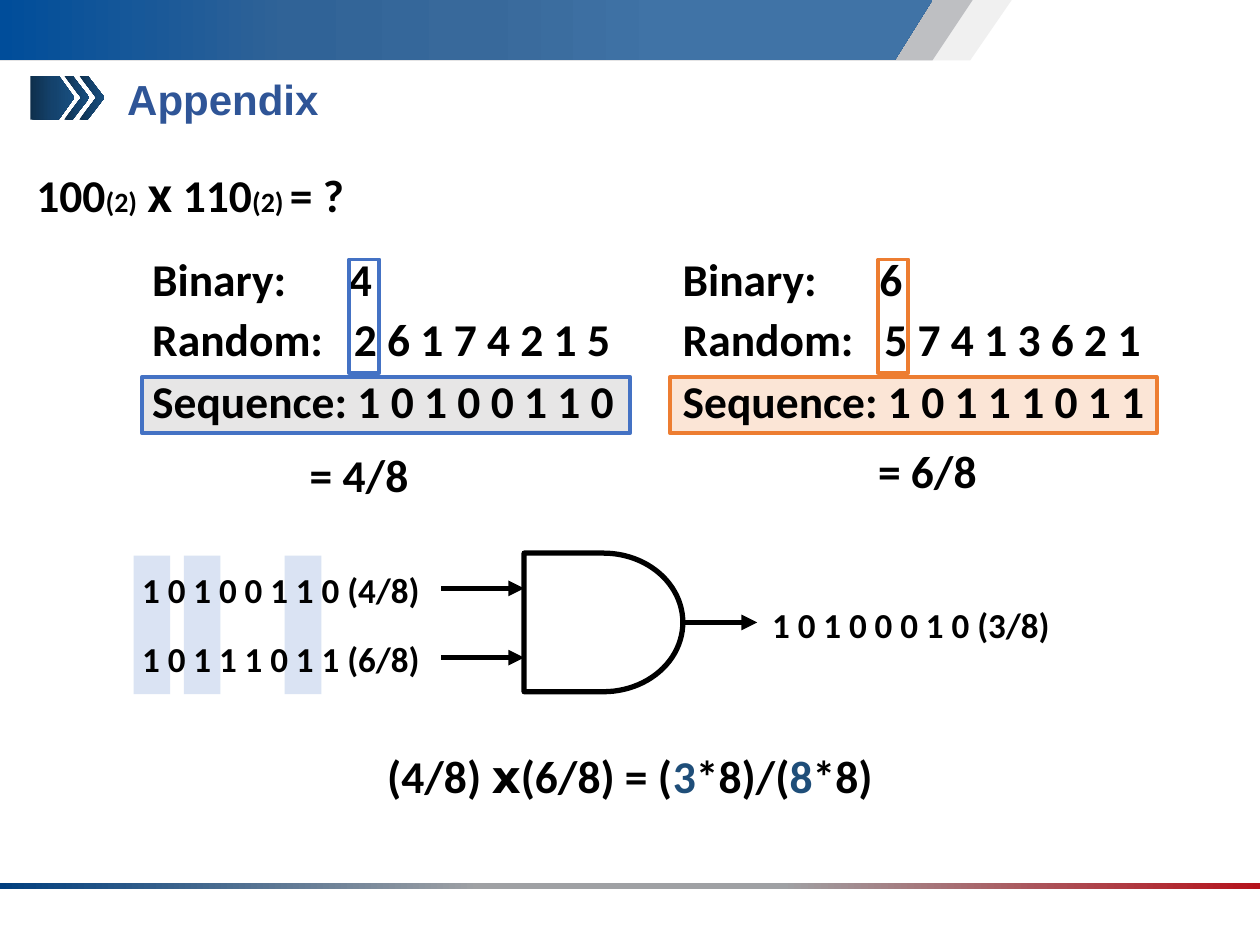
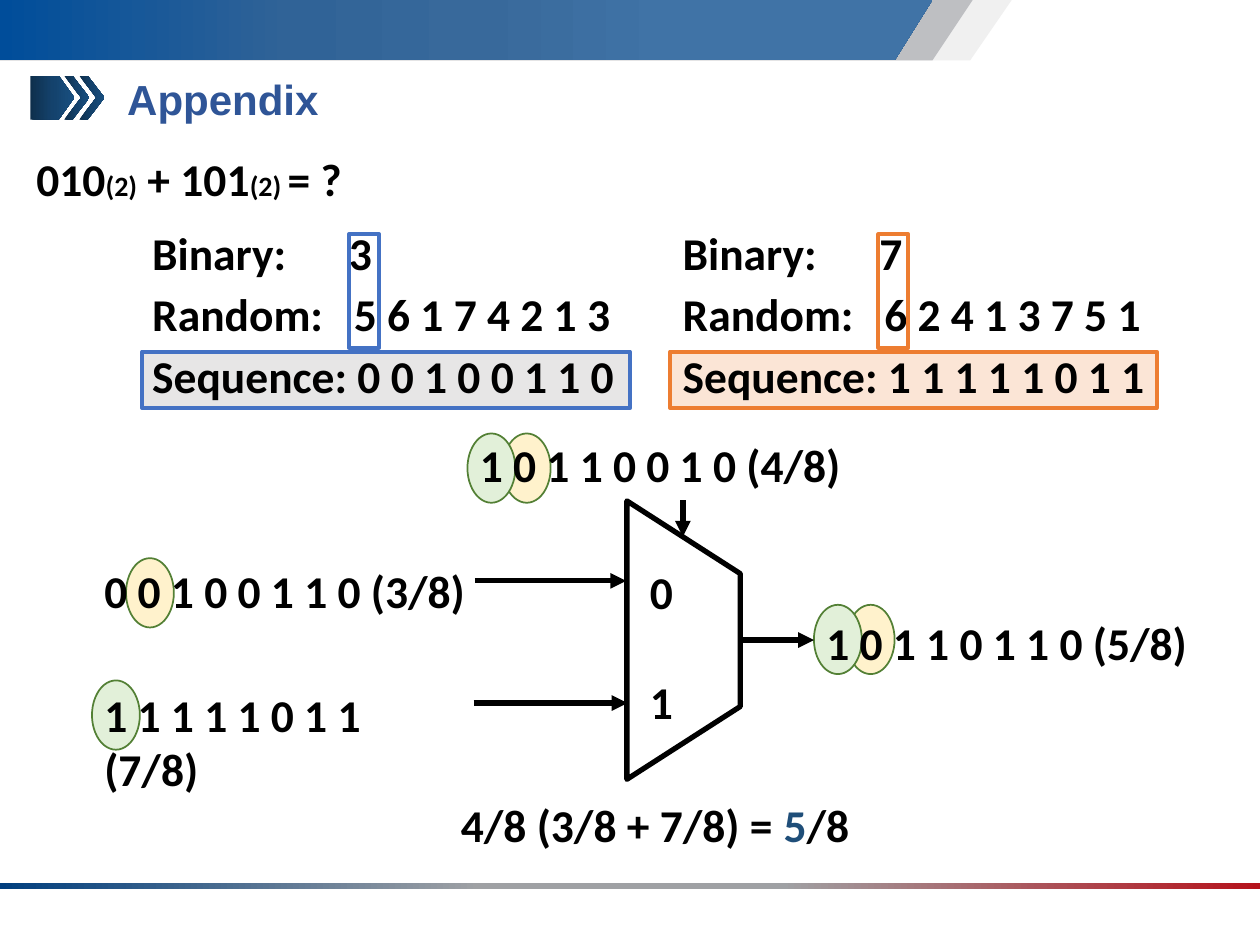
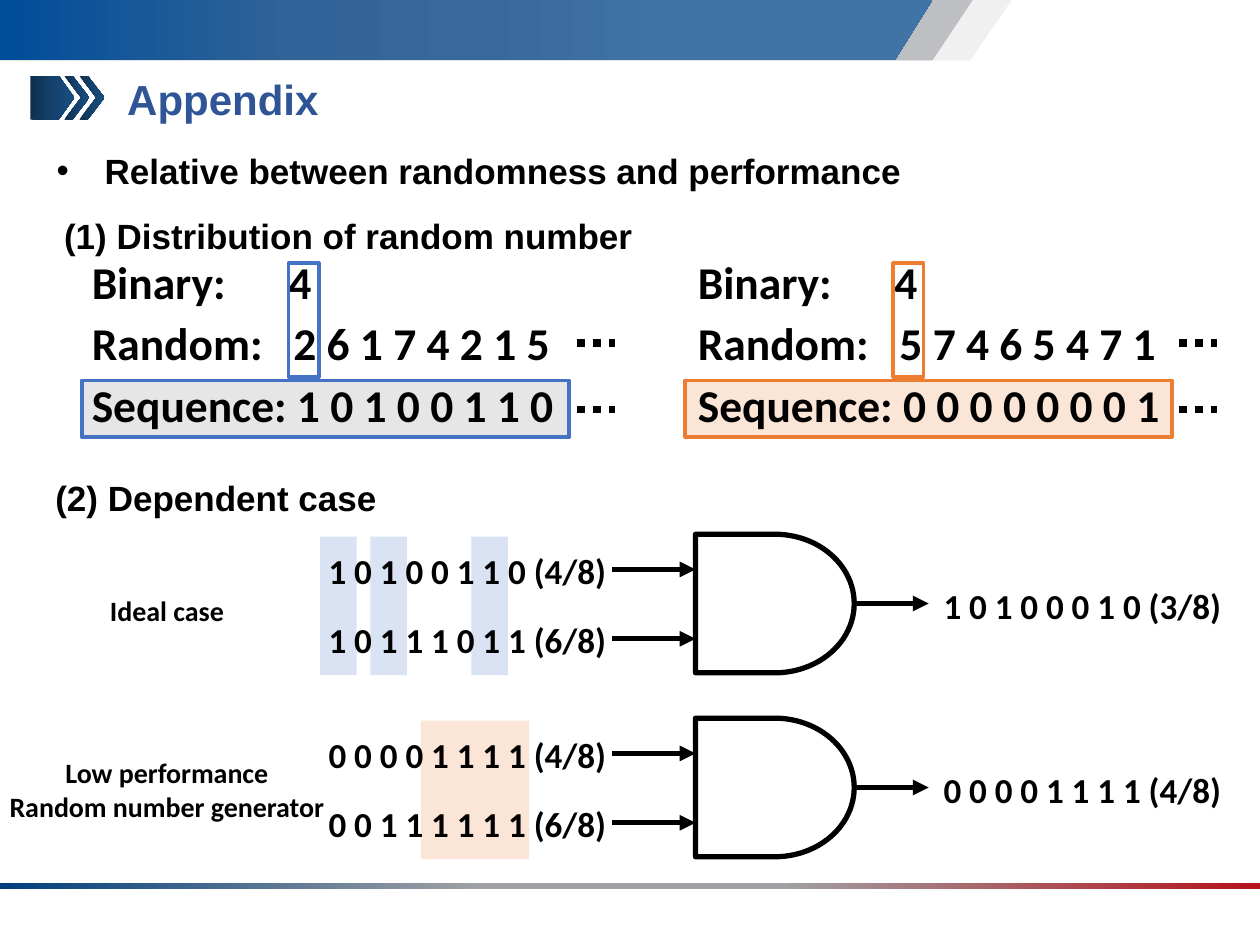
"""Build three appendix slides on stochastic computing with logic gates."""
from lxml import etree
from pptx import Presentation
from pptx.dml.color import RGBColor
from pptx.enum.dml import MSO_LINE
from pptx.enum.shapes import MSO_CONNECTOR, MSO_SHAPE
from pptx.enum.text import MSO_ANCHOR, MSO_AUTO_SIZE, PP_ALIGN
from pptx.oxml.ns import qn
from pptx.util import Inches, Pt

BLACK, WHITE, NAVY, TITLE_BLUE = "000000", "FFFFFF", "1F4E79", "2F5597"
BLUE, ORANGE, GREY, PEACH, PALE_BLUE = "4472C4", "ED7D31", "E7E6E6", "FBE5D6", "DAE3F3"
YELLOW, GREEN, DARK_GREEN = "FFF2CC", "E2F0D9", "538035"
CJK = "Noto Sans CJK KR"
BAND_HEIGHT = 0.48
BANDS = [
    (8.03, 7.7, "F0F0F0"),
    (7.72, 7.4, "BEBFC2"),
    (7.4, 7.1, [(0, "004D9A"), (31, "306397"), (51, "38699B"), (72, "4073A6")]),
]
FOOTER = [(0, "003E7E"), (38, "9FA1A4"), (62, "9FA1A4"), (100, "B5121B")]
MARKER = [(0, "0E2F4C"), (50, "14426C"), (100, "184F80")]
MARKER_PARTS = [
    (MSO_SHAPE.PENTAGON, 0.24, 0.35, 0.356),
    (MSO_SHAPE.CHEVRON, 0.51, 0.2, 0.671),
    (MSO_SHAPE.CHEVRON, 0.63, 0.2, 0.671),
]
SIDE_STYLES = [(GREY, BLUE, 0.02, 3.87, 1.66), (PEACH, ORANGE, 0, 3.86, 1.65)]

PRODUCT_INPUTS = [
    ("4", "2 6 1 7 4 2 1 5", "1 0 1 0 0 1 1 0"),
    ("6", "5 7 4 1 3 6 2 1", "1 0 1 1 1 0 1 1"),
]
SUM_INPUTS = [
    ("3", "5 6 1 7 4 2 1 3", "0 0 1 0 0 1 1 0"),
    ("7", "6 2 4 1 3 7 5 1", "1 1 1 1 1 0 1 1"),
]
DISTRIBUTIONS = [
    ("4", "2 6 1 7 4 2 1 5", "1 0 1 0 0 1 1 0"),
    ("4", "5 7 4 6 5 4 7 1", "0 0 0 0 0 0 0 1"),
]
IDEAL = ("1 0 1 0 0 1 1 0 (4/8)", "1 0 1 1 1 0 1 1 (6/8)", "1 0 1 0 0 0 1 0 (3/8)")
CORRELATED = ("0 0 0 0 1 1 1 1 (4/8)", "0 0 1 1 1 1 1 1 (6/8)", "0 0 0 0 1 1 1 1 (4/8)")
IDEAL_MARKS = [(0, 0.29, PALE_BLUE), (2, 0.29, PALE_BLUE), (6, 0.29, PALE_BLUE)]
CORRELATED_MARKS = [(4, 0.86, PEACH)]

PRODUCT_QUESTION = ["100", ("(2)", {"size": 16}), ("\u2179", {"font": CJK}), "110",
                    ("(2) ", {"size": 16}), "= ?"]
PRODUCT_RESULT = ["(4/8) \u2179(6/8) = (", ("3", {"color": NAVY}), "*8)/(",
                  ("8", {"color": NAVY}), "*8)"]
SUM_QUESTION = ["010", ("(2)", {"size": 16}), " + 101", ("(2) ", {"size": 16}), "= ?"]
SUM_RESULT = ["4/8 (3/8 + 7/8) = ", ("5", {"color": NAVY}), "/8"]
MUX_TEXTS = [
    ("1 1 1 1 1 0 1 1 (7/8)", (0.73, 5.4, 3.04, 0.54)),
    ("0 0 1 0 0 1 1 0 (3/8)", (0.73, 4.42, 3.99, 0.54)),
    ("1 0 1 1 0 0 1 0 (4/8)", (3.71, 3.42, 3.68, 0.54)),
    ("1 0 1 1 0 1 1 0 (5/8)", (6.46, 4.83, 3.64, 0.54)),
]
MUX_ARROWS = [
    ((5.42, 3.97), (5.42, 4.26)),
    ((5.87, 5.08), (6.46, 5.08)),
    ((3.77, 4.61), (4.97, 4.61)),
    ((3.76, 5.58), (4.98, 5.58)),
]
SELECTED_BITS = [
    (YELLOW, [(1, 4.43), (6.72, 4.8), (3.99, 3.44)]),
    (GREEN, [(0.73, 5.4), (6.46, 4.8), (3.71, 3.44)]),
]
HEADINGS = [
    ("(1) Distribution of random number", (0.41, 1.59, 5.18, 0.47)),
    ("(2) Dependent case", (0.34, 3.67, 4.39, 0.47)),
]


def rgb(value):
    return RGBColor.from_string(value)


def paint(shape, fill=None, line=None, width=1):
    shape.shadow.inherit = False
    if isinstance(fill, list):
        shape.fill.gradient()
        shape.fill.gradient_angle = 0
        stops = shape._element.spPr.find(".//" + qn("a:gsLst"))
        for stop in list(stops):
            stops.remove(stop)
        for position, color in fill:
            stop = etree.SubElement(stops, qn("a:gs"), pos=str(position * 1000))
            etree.SubElement(stop, qn("a:srgbClr"), val=color)
    elif fill:
        shape.fill.solid()
        shape.fill.fore_color.rgb = rgb(fill)
    else:
        shape.fill.background()
    if line:
        shape.line.color.rgb = rgb(line)
        shape.line.width = Pt(width)
    else:
        shape.line.fill.background()


def add_box(slide, kind, at, fill=None, line=None, width=1, adjust=None):
    shape = slide.shapes.add_shape(kind, *map(Inches, at))
    if adjust is not None:
        shape.adjustments[0] = adjust
    paint(shape, fill, line, width)
    return shape


def add_line(slide, start, end, width=3, arrow=True):
    line = slide.shapes.add_connector(MSO_CONNECTOR.STRAIGHT, *map(Inches, start + end))
    line.line.color.rgb = rgb(BLACK)
    line.line.width = Pt(width)
    if arrow:
        etree.SubElement(line.line._get_or_add_ln(), qn("a:tailEnd"), type="triangle")
    else:
        line.line.dash_style = MSO_LINE.ROUND_DOT
    etree.SubElement(line._element.spPr, qn("a:effectLst"))


def add_runs(paragraph, runs, size=26, font="Calibri", color=BLACK):
    for item in [runs] if isinstance(runs, str) else runs:
        words, change = (item, {}) if isinstance(item, str) else item
        style = {"size": size, "font": font, "color": color, **change}
        run = paragraph.add_run()
        run.text = words
        run.font.size = Pt(style["size"])
        run.font.name = style["font"]
        run.font.bold = True
        run.font.color.rgb = rgb(style["color"])
        if style["font"] == CJK:
            etree.SubElement(run._r.get_or_add_rPr(), qn("a:ea"), typeface=CJK)


def add_text(slide, at, paragraphs, align=PP_ALIGN.LEFT, spacing=None, gap=0, tab=None, **style):
    frame = slide.shapes.add_textbox(*map(Inches, at)).text_frame
    frame.word_wrap = True
    for index, runs in enumerate(paragraphs):
        paragraph = frame.add_paragraph() if index else frame.paragraphs[0]
        paragraph.alignment = align
        if spacing:
            paragraph.line_spacing = spacing
        if index and gap:
            paragraph.space_before = Pt(gap)
        if tab:
            tabs = etree.SubElement(paragraph._p.get_or_add_pPr(), qn("a:tabLst"))
            etree.SubElement(tabs, qn("a:tab"), pos=str(Inches(tab)), algn="l")
        add_runs(paragraph, runs, **style)


def fill_placeholder(shape, at, words, spacing, anchor, **style):
    shape.left, shape.top, shape.width, shape.height = map(Inches, at)
    frame = shape.text_frame
    frame.auto_size = MSO_AUTO_SIZE.NONE
    frame.vertical_anchor = anchor
    paragraph = frame.paragraphs[0]
    paragraph.alignment = PP_ALIGN.LEFT
    paragraph.line_spacing = spacing
    paragraph.space_before = Pt(0)
    add_runs(paragraph, words, font="Arial", **style)
    return paragraph


def add_appendix_slide(deck, layout):
    slide = deck.slides.add_slide(deck.slide_layouts[layout])
    for top, bottom, fill in BANDS:
        builder = slide.shapes.build_freeform(Inches(top), 0)
        corners = [(0, 0), (0, BAND_HEIGHT), (bottom, BAND_HEIGHT)]
        builder.add_line_segments([(Inches(x), Inches(y)) for x, y in corners])
        paint(builder.convert_to_shape(), fill)
    add_box(slide, MSO_SHAPE.RECTANGLE, (0, 7.01, 10, 0.05), FOOTER)
    for kind, x, width, adjust in MARKER_PARTS:
        add_box(slide, kind, (x, 0.6, width, 0.35), MARKER, adjust=adjust)
    fill_placeholder(slide.shapes.title, (0.91, 0.56, 8.55, 0.5), "Appendix", 0.9,
                     MSO_ANCHOR.MIDDLE, size=24, color=TITLE_BLUE)
    return slide


def add_sequences(slide, lefts, y, inputs):
    for x, values, style in zip(lefts, inputs, SIDE_STYLES):
        binary, random, sequence = values
        fill, line, inset, width, window = style
        add_box(slide, MSO_SHAPE.RECTANGLE, (x + inset, y + 1.05, width, 0.45), fill, line, 2.25)
        add_text(slide, (x, y, 2.29, 0.54), ["Binary:\t" + binary], tab=1.56)
        add_text(slide, (x, y + 0.48, 4.09, 0.54), ["Random:\t" + random], tab=1.6)
        add_text(slide, (x, y + 0.97, 4.09, 0.54), ["Sequence: " + sequence])
        add_box(slide, MSO_SHAPE.RECTANGLE, (x + window, y + 0.12, 0.24, 0.9), None, line, 2.25)


def add_and_gate(slide, x, y, text_x, streams, marks):
    for digit, width, color in marks:
        at = (text_x + 0.03 + 0.2 * digit, y + 0.02, width, 1.1)
        add_box(slide, MSO_SHAPE.RECTANGLE, at, color)
    add_box(slide, MSO_SHAPE.FLOWCHART_DELAY, (x, y, 1.26, 1.1), WHITE, BLACK, 3)
    for stream, drop in zip(streams, (0.28, 0.83)):
        add_text(slide, (text_x, y + drop - 0.21, 2.94, 0.77), [stream], size=20)
        add_line(slide, (x - 0.66, y + drop), (x, y + drop))
    add_line(slide, (x + 1.26, y + 0.55), (x + 1.85, y + 0.55))
    add_text(slide, (x + 1.87, y + 0.35, 2.46, 0.44), streams[2:], size=20)


def build_product(deck):
    slide = add_appendix_slide(deck, 5)
    add_and_gate(slide, 4.16, 4.39, 1.03, IDEAL, IDEAL_MARKS)
    add_text(slide, (0.19, 1.28, 2.75, 0.54), [PRODUCT_QUESTION])
    add_sequences(slide, (1.11, 5.32), 1.94, PRODUCT_INPUTS)
    add_text(slide, (2.36, 3.5, 1.48, 0.54), ["= 4/8"])
    add_text(slide, (6.87, 3.47, 1.48, 0.54), ["= 6/8"])
    add_text(slide, (2.61, 5.89, 4.78, 0.54), [PRODUCT_RESULT], PP_ALIGN.CENTER)


def build_sum(deck):
    slide = add_appendix_slide(deck, 5)
    for color, places in SELECTED_BITS:
        for x, y in places:
            add_box(slide, MSO_SHAPE.OVAL, (x, y, 0.38, 0.55), color, DARK_GREEN)
    mux = add_box(slide, MSO_SHAPE.TRAPEZOID, (4.32, 4.63, 2.21, 0.9), WHITE, BLACK, 3, 0.642)
    mux.rotation = 90
    for words, at in MUX_TEXTS:
        add_text(slide, at, [words])
    add_text(slide, (5.06, 4.43, 0.36, 1.41), ["0", "1"], gap=31.7)
    for start, end in MUX_ARROWS:
        add_line(slide, start, end)
    add_text(slide, (0.19, 1.15, 2.75, 0.54), [SUM_QUESTION])
    add_sequences(slide, (1.11, 5.32), 1.74, SUM_INPUTS)
    add_text(slide, (3.56, 6.28, 3.47, 0.54), [SUM_RESULT])


def build_randomness(deck):
    slide = add_appendix_slide(deck, 1)
    bullet = fill_placeholder(slide.placeholders[1], (0.35, 1.07, 8.55, 0.47),
                              "Relative between randomness and performance", 1.2,
                              MSO_ANCHOR.TOP, size=20)
    properties = bullet._p.get_or_add_pPr()
    properties.set("marL", str(Inches(0.38)))
    properties.set("indent", str(Inches(-0.38)))
    for words, at in HEADINGS:
        add_text(slide, at, [words], spacing=1.2, size=20, font="Arial")
    add_and_gate(slide, 5.52, 4.24, 2.51, IDEAL, IDEAL_MARKS)
    add_and_gate(slide, 5.52, 5.7, 2.51, CORRELATED, CORRELATED_MARKS)
    add_text(slide, (-0.16, 4.66, 2.97, 0.37), ["Ideal case"], PP_ALIGN.CENTER, size=16)
    add_text(slide, (-0.16, 5.95, 2.97, 0.64), ["Low performance", "Random number generator"],
             PP_ALIGN.CENTER, size=16)
    add_sequences(slide, (0.63, 5.44), 1.97, DISTRIBUTIONS)
    for x in (4.58, 9.36):
        for y in (2.72, 3.25):
            add_line(slide, (x, y), (x + 0.3, y), 4.5, arrow=False)


deck = Presentation()
deck.slide_width, deck.slide_height = Inches(10), Inches(7.5)
build_product(deck)
build_sum(deck)
build_randomness(deck)
deck.save("out.pptx")
